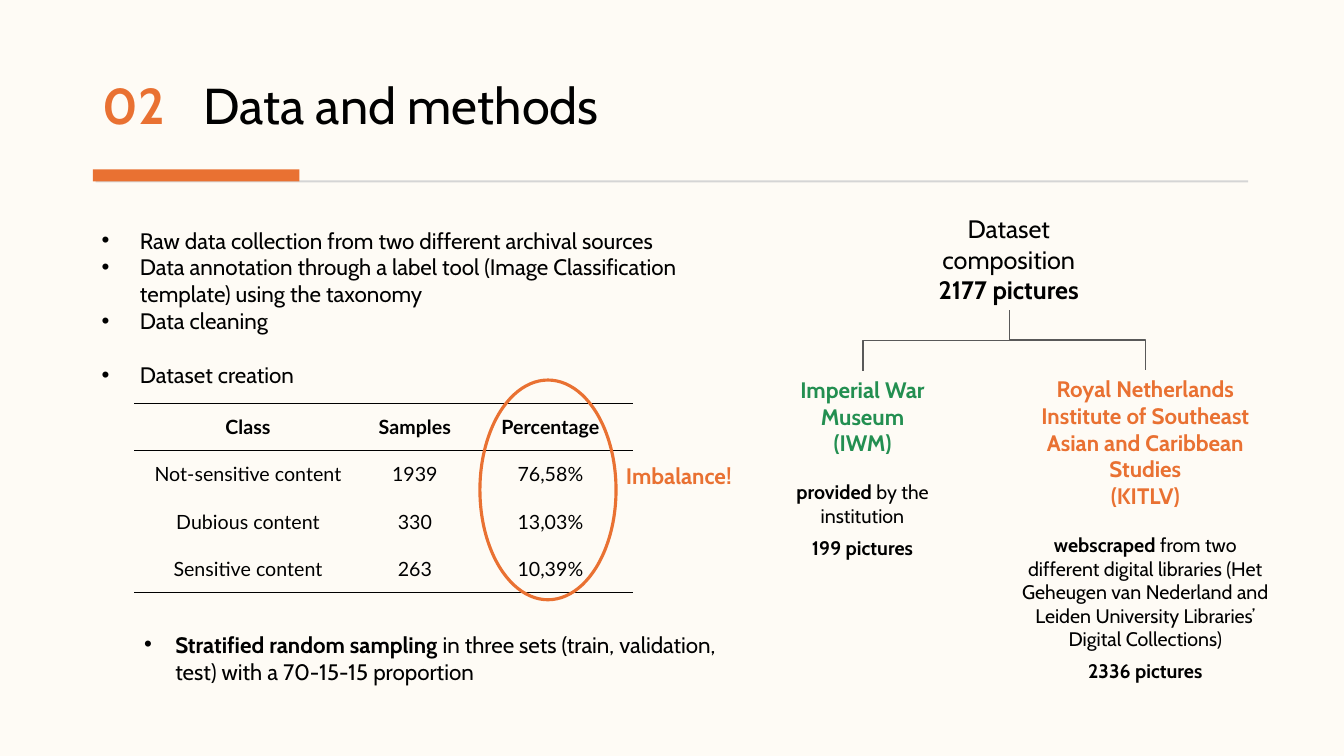
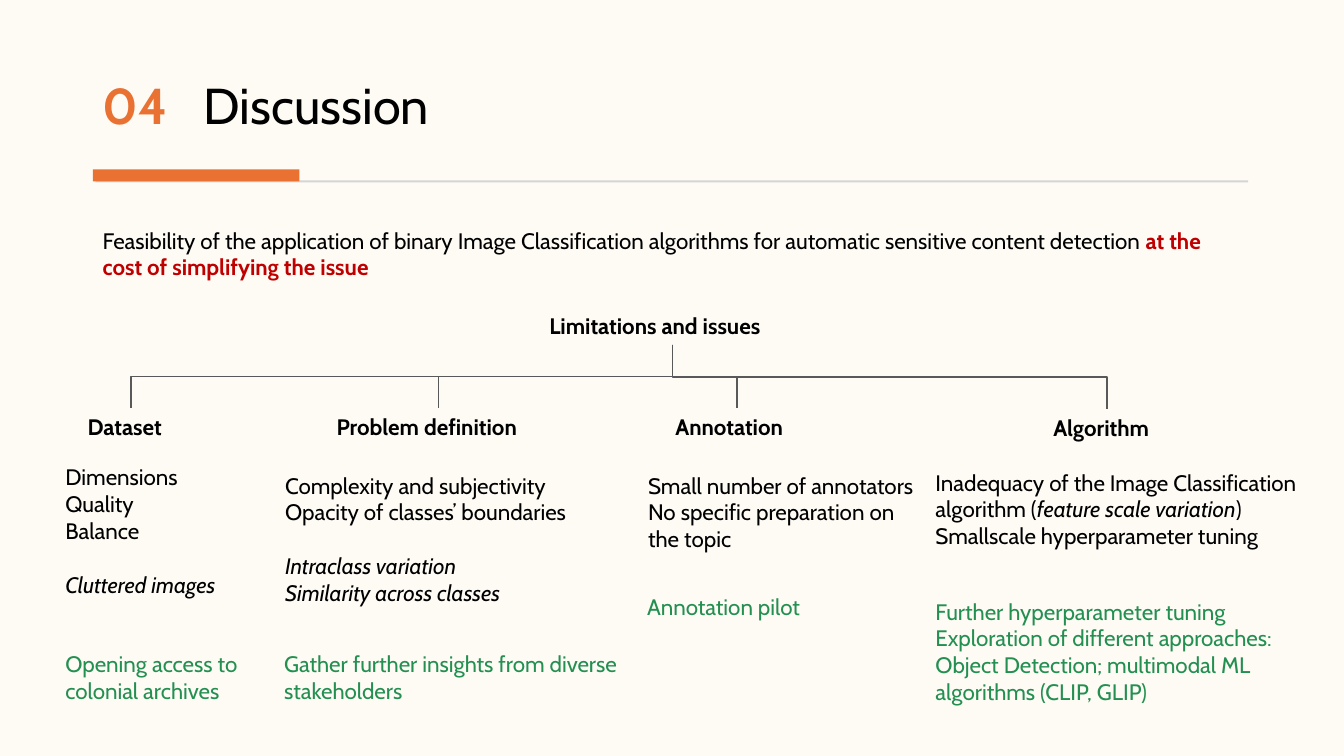
from lxml import etree
from pptx import Presentation
from pptx.dml.color import RGBColor
from pptx.enum.shapes import MSO_CONNECTOR as CONN, MSO_SHAPE as SHAPE
from pptx.enum.text import MSO_ANCHOR as ANCHOR, PP_ALIGN as ALIGN
from pptx.oxml.ns import qn
from pptx.util import Inches, Pt

CREAM, ORANGE, GREEN, RED = "FEFBF5", "E97132", "238F51", "C00000"
BLACK, RULE, GREY = "000000", "D5D5D5", "595959"

STYLES = {
    "number": ("Cabin", 36, ORANGE, True, False),
    "title": ("Cabin", 36, BLACK, False, False),
    "lead": ("Cabin", 18, BLACK, False, False),
    "lead bold": ("Cabin", 18, BLACK, True, False),
    "body": ("Cabin", 16, BLACK, False, False),
    "bold": ("Cabin", 16, BLACK, True, False),
    "italic": ("Cabin", 16, BLACK, False, True),
    "orange": ("Cabin", 16, ORANGE, True, False),
    "green": ("Cabin", 16, GREEN, False, False),
    "green bold": ("Cabin", 16, GREEN, True, False),
    "red": ("Cabin", 16, RED, True, False),
    "small": ("Cabin", 14, BLACK, False, False),
    "small bold": ("Cabin", 14, BLACK, True, False),
    "cell": ("Lato", 14, BLACK, False, False),
    "header": ("Lato", 14, BLACK, True, False),
}
LINE_GAP, SMALL_GAP, TINY_GAP = 19.2, 17, 6

STEPS = [
    (0, [("Raw data collection from two different archival sources", "body")]),
    (0, [("Data annotation through a label tool (Image Classification template) "
          "using the taxonomy", "body")]),
    (0, [("Data cleaning", "body")]),
    (LINE_GAP, [("Dataset creation", "body")]),
]
SAMPLING = [(0, [
    ("Stratified random sampling", "bold"),
    (" in three sets (train, validation, test) with a 70-15-15 proportion", "body"),
])]
CLASSES = [
    ("Class", "Samples", "Percentage"),
    ("Not-sensitive content", "1939", "76,58%"),
    ("Dubious content", "330", "13,03%"),
    ("Sensitive content", "263", "10,39%"),
]
CLASS_WIDTHS = (2.26, 1.05, 1.64)
COMPOSITION = [
    (0, [("Dataset composition", "lead")]),
    (0, [("2177 pictures", "lead bold")]),
]
SOURCES = [
    {"box": (7.44, 3.68, 2.23, 1.94), "drop": (8.56, 3.68), "style": "green bold",
     "name": "Imperial War Museum", "short": "(IWM)",
     "how": ("provided", " by the institution"), "total": "199 pictures"},
    {"box": (10.01, 3.67, 2.7, 3.42), "drop": (11.36, 3.67), "style": "orange",
     "name": "Royal Netherlands Institute of Southeast Asian and Caribbean Studies",
     "short": "(KITLV)",
     "how": ("webscraped", " from two different digital libraries (Het Geheugen van "
             "Nederland and Leiden University Libraries’ Digital Collections)"),
     "total": "2336 pictures"},
]

FEASIBILITY = [(0, [
    ("Feasibility of the application of binary Image Classification algorithms for "
     "automatic sensitive content detection ", "body"),
    ("at the cost of simplifying the issue", "red"),
])]
ISSUES = [
    {"heading": "Dataset", "at": (0.77, 4.05, 1.06), "drop": (1.3, 4.05),
     "limits_at": (0.55, 4.55, 1.71, 1.72),
     "limits": [(0, [("Dimensions", "body")]), (0, [("Quality", "body")]),
                (0, [("Balance", "body")]),
                (LINE_GAP, [("Cluttered images", "italic")])],
     "remedy_at": (0.55, 6.4, 1.95, 0.64),
     "remedy": ["Opening access to colonial archives"]},
    {"heading": "Problem definition", "at": (3.24, 4.05, 2.21), "drop": (4.35, 4.05),
     "limits_at": (2.73, 4.63, 3.19, 1.72),
     "limits": [(0, [("Complexity and subjectivity", "body")]),
                (0, [("Opacity of classes’ boundaries", "body")]),
                (LINE_GAP, [("Intraclass variation", "italic")]),
                (0, [("Similarity across classes", "italic")])],
     "remedy_at": (2.72, 6.4, 3.64, 0.64),
     "remedy": ["Gather further insights from diverse stakeholders"]},
    {"heading": "Annotation", "at": (6.6, 4.05, 1.42), "drop": (7.31, 4.05),
     "limits_at": (6.33, 4.63, 2.83, 1.18),
     "limits": [(0, [("Small number of annotators", "body")]),
                (0, [("No specific preparation on the topic", "body")])],
     "remedy_at": (6.32, 5.84, 2.87, 0.37),
     "remedy": ["Annotation pilot"]},
    {"heading": "Algorithm", "at": (10.35, 4.06, 1.27), "drop": (10.98, 4.06),
     "limits_at": (9.18, 4.6, 3.85, 1.18),
     "limits": [(0, [("Inadequacy of the Image Classification algorithm (", "body"),
                     ("feature scale variation", "italic"), (")", "body")]),
                (0, [("Smallscale hyperparameter tuning", "body")])],
     "remedy_at": (9.18, 5.88, 3.65, 1.18),
     "remedy": ["Further hyperparameter tuning",
                "Exploration of different approaches: Object Detection; multimodal "
                "ML algorithms (CLIP, GLIP)"]},
]


def rgb(value):
    return RGBColor.from_string(value)


def inches(values):
    return [Inches(v) for v in values]


def add_run(p, text, style):
    r = p.add_run()
    r.text = text
    font = r.font
    font.name, size, colour, font.bold, font.italic = STYLES[style]
    font.size = Pt(size)
    font.color.rgb = rgb(colour)


def set_bullet(p, indent):
    pPr = p._p.get_or_add_pPr()
    pPr.set("marL", str(Inches(indent)))
    pPr.set("indent", str(-Inches(indent)))
    etree.SubElement(pPr, qn("a:buFont")).set("typeface", "Arial")
    etree.SubElement(pPr, qn("a:buChar")).set("char", "•")


def add_text(s, box, paragraphs, align=ALIGN.LEFT, bullet=0):
    tf = s.shapes.add_textbox(*inches(box)).text_frame
    tf.word_wrap = True
    for i, (gap, runs) in enumerate(paragraphs):
        p = tf.add_paragraph() if i else tf.paragraphs[0]
        p.alignment = align
        p.space_before = Pt(gap)
        if bullet:
            set_bullet(p, bullet)
        for text, style in runs:
            add_run(p, text, style)
    return tf


def add_shape(s, kind, box, fill=None, line=None, width=1):
    sp = s.shapes.add_shape(kind, *inches(box))
    sp.shadow.inherit = False
    if fill:
        sp.fill.solid()
        sp.fill.fore_color.rgb = rgb(fill)
    else:
        sp.fill.background()
    if line:
        sp.line.color.rgb = rgb(line)
        sp.line.width = Pt(width)
    else:
        sp.line.fill.background()


def add_branch(s, start, end):
    (x1, y1), (x2, y2) = start, end
    cx, cy = (x1 + x2) / 2, (y1 + y2) / 2
    half_drop, half_span = (y2 - y1) / 2, abs(x2 - x1) / 2
    branch = s.shapes.add_connector(CONN.ELBOW, *inches(
        (cx - half_drop, cy - half_span, cx + half_drop, cy + half_span)))
    branch.line.color.rgb = rgb(GREY)
    branch.line.width = Pt(1)
    spPr = branch._element.spPr
    etree.SubElement(spPr, qn("a:effectLst"))
    xfrm = spPr.find(qn("a:xfrm"))
    rightward = x2 > x1
    xfrm.set("rot", str((270 if rightward else 90) * 60000))
    if rightward:
        xfrm.set("flipH", "1")


def set_borders(cell, sides):
    tcPr = cell._tc.get_or_add_tcPr()
    for side in ("L", "R", "T", "B"):
        ln = etree.SubElement(tcPr, qn("a:ln" + side))
        if side in sides:
            ln.set("w", str(Pt(1)))
            fill = etree.SubElement(ln, qn("a:solidFill"))
            etree.SubElement(fill, qn("a:srgbClr")).set("val", BLACK)
        else:
            etree.SubElement(ln, qn("a:noFill"))


def add_class_table(s):
    row_height = 0.47
    box = (1.33, 4, sum(CLASS_WIDTHS), row_height * len(CLASSES))
    table = s.shapes.add_table(len(CLASSES), len(CLASS_WIDTHS), *inches(box)).table
    table.first_row = table.horz_banding = False
    style_id = table._tbl.tblPr.find(qn("a:tableStyleId"))
    style_id.text = "{2D5ABB26-0587-4C30-8999-92F81FD0307C}"
    for column, width in zip(table.columns, CLASS_WIDTHS):
        column.width = Inches(width)
    borders = {0: "TB", 1: "T", len(CLASSES) - 1: "B"}
    for i, values in enumerate(CLASSES):
        table.rows[i].height = Inches(row_height)
        for j, value in enumerate(values):
            cell = table.cell(i, j)
            set_borders(cell, borders.get(i, ""))
            cell.fill.background()
            cell.vertical_anchor = ANCHOR.MIDDLE
            p = cell.text_frame.paragraphs[0]
            p.alignment = ALIGN.CENTER
            add_run(p, value, "cell" if i else "header")


def add_slide(prs, number, title):
    s = prs.slides.add_slide(prs.slide_layouts[6])
    s.background.fill.solid()
    s.background.fill.fore_color.rgb = rgb(CREAM)
    tf = add_text(s, (0.92, 0.52, 11.49, 0.87),
                  [(0, [(number + "\t", "number"), (title, "title")])])
    tf.vertical_anchor = ANCHOR.BOTTOM
    tf.paragraphs[0].line_spacing = 0.9
    add_shape(s, SHAPE.RECTANGLE, (0.95, 1.79, 11.43, 0.02), RULE)
    add_shape(s, SHAPE.RECTANGLE, (0.92, 1.68, 2.05, 0.12), ORANGE)
    return s


def build_methods(prs):
    s = add_slide(prs, "02", "Data and methods")
    add_text(s, (9.09, 2.07, 1.83, 1.01), COMPOSITION, ALIGN.CENTER)
    for source in SOURCES:
        add_branch(s, (10.01, 3.08), source["drop"])
        how, detail = source["how"]
        add_text(s, source["box"], [
            (0, [(source["name"], source["style"])]),
            (0, [(source["short"], source["style"])]),
            (SMALL_GAP, [(how, "small bold"), (detail, "small")]),
            (TINY_GAP, [(source["total"], "small bold")]),
        ], ALIGN.CENTER)
    add_text(s, (0.91, 2.2, 6.53, 1.72), STEPS, bullet=0.38)
    add_class_table(s)
    add_shape(s, SHAPE.OVAL, (4.76, 3.77, 1.35, 2.18), line=ORANGE, width=2.25)
    add_text(s, (6.11, 4.54, 1.41, 0.37), [(0, [("Imbalance!", "orange")])])
    add_text(s, (1.33, 6.21, 6.11, 0.64), SAMPLING, bullet=0.31)


def build_discussion(prs):
    s = add_slide(prs, "04", "Discussion")
    add_text(s, (0.92, 2.2, 11.43, 0.64), FEASIBILITY)
    add_text(s, (5.35, 3.05, 2.63, 0.37), [(0, [("Limitations and issues", "bold")])])
    for issue in ISSUES:
        add_branch(s, (6.67, 3.42), issue["drop"])
        add_text(s, (*issue["at"], 0.37), [(0, [(issue["heading"], "bold")])])
        add_text(s, issue["limits_at"], issue["limits"])
        add_text(s, issue["remedy_at"],
                 [(0, [(text, "green")]) for text in issue["remedy"]])


def main():
    prs = Presentation()
    prs.slide_width, prs.slide_height = Inches(13.33), Inches(7.5)
    build_methods(prs)
    build_discussion(prs)
    prs.save("out.pptx")


if __name__ == "__main__":
    main()
